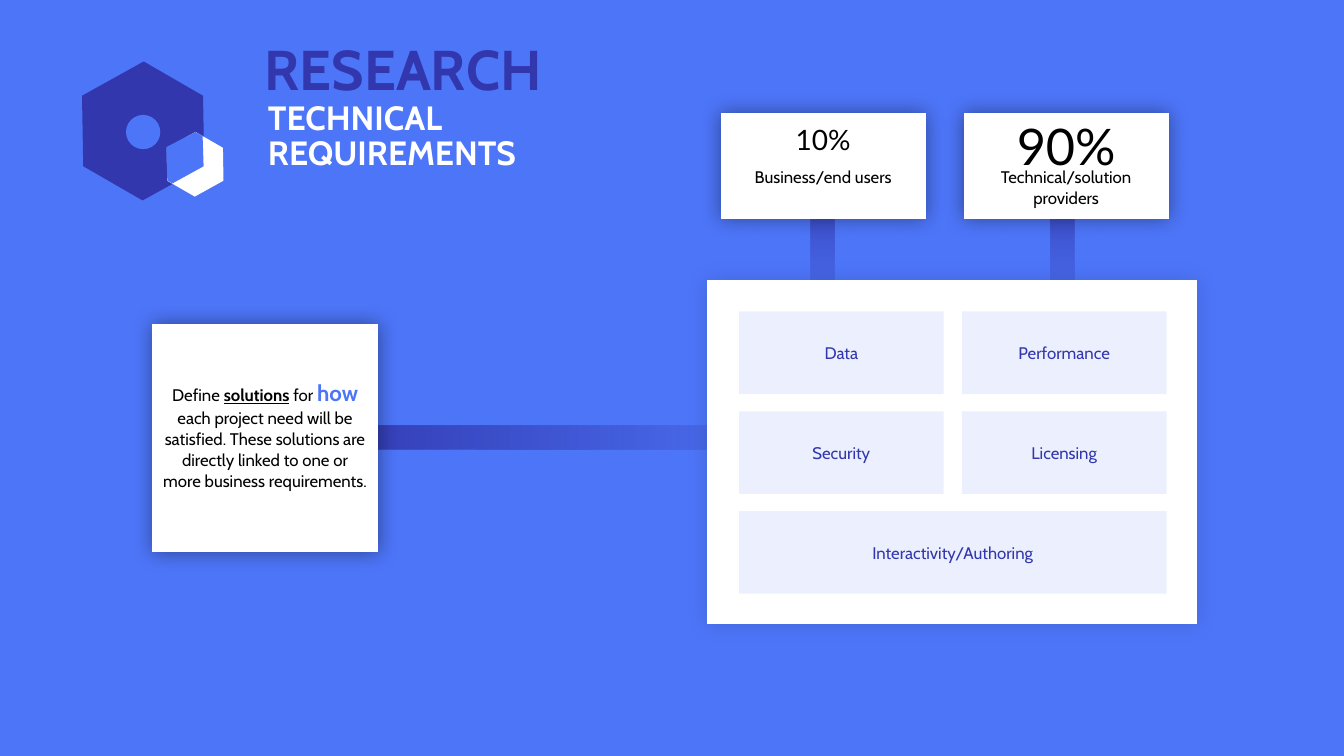
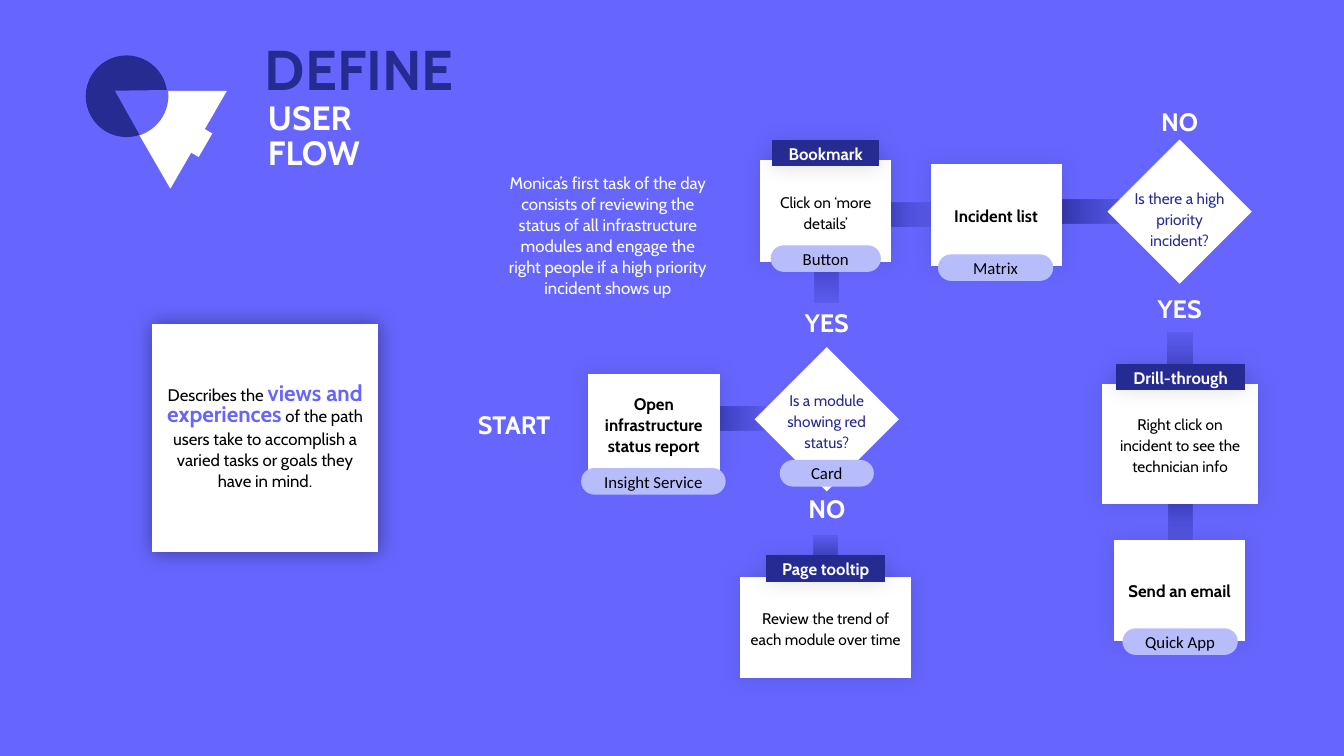
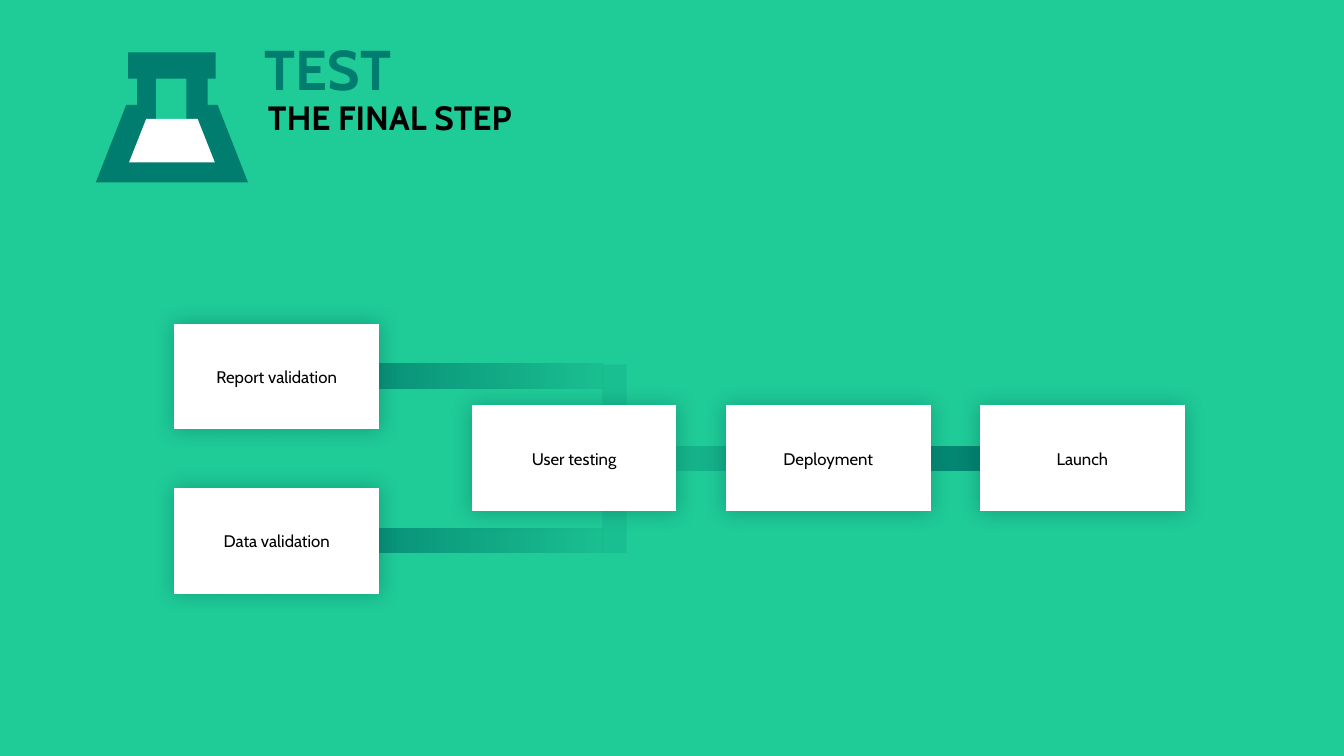
import math

import pptx
import pptx.dml.color
import pptx.enum.shapes
import pptx.enum.text
import pptx.oxml
import pptx.oxml.ns
import pptx.util

Inches = pptx.util.Inches
Pt = pptx.util.Pt
RGBColor = pptx.dml.color.RGBColor
Shape = pptx.enum.shapes.MSO_SHAPE
Anchor = pptx.enum.text.MSO_ANCHOR
Align = pptx.enum.text.PP_ALIGN

WHITE = RGBColor(0xFF, 0xFF, 0xFF)
BLACK = RGBColor(0x00, 0x00, 0x00)
BLUE = RGBColor(0x4D, 0x75, 0xF8)
INDIGO = RGBColor(0x32, 0x37, 0xAE)
VIOLET = RGBColor(0x66, 0x66, 0xFF)
NAVY = RGBColor(0x26, 0x2B, 0x92)
LILAC = RGBColor(0xB7, 0xBD, 0xFB)
GREEN = RGBColor(0x1F, 0xCB, 0x97)
TEAL = RGBColor(0x00, 0x7D, 0x6E)
DARK_TEAL = RGBColor(0x00, 0x5C, 0x51)

CARD = (2.03, 1.05)
BAND_HEIGHT = 0.24
LINE_PITCH = 15


def add_span(para, text, font="Cabin", size=12, color=BLACK, bold=False, underline=False):
    span = para.add_run()
    span.text = text
    span.font.name = font
    span.font.size = Pt(size)
    span.font.color.rgb = color
    span.font.bold = bold
    span.font.underline = underline


def set_alpha(shape, percent):
    """Make the last colour of the shape's fill partly transparent."""
    colors = list(shape.fill._xPr.iter(pptx.oxml.ns.qn("a:srgbClr")))
    alpha = colors[-1].makeelement(pptx.oxml.ns.qn("a:alpha"), {"val": str(percent * 1000)})
    colors[-1].append(alpha)


def add_glow(shape, color, percent):
    """Put a soft, centred shadow around the shape."""
    effects = shape.fill._xPr.find(pptx.oxml.ns.qn("a:effectLst"))
    effects.append(pptx.oxml.parse_xml(
        f'<a:outerShdw {pptx.oxml.ns.nsdecls("a")} blurRad="{Pt(15)}" dist="0" dir="0" '
        f'algn="ctr" rotWithShape="0"><a:srgbClr val="{color}">'
        f'<a:alpha val="{percent * 1000}"/></a:srgbClr></a:outerShdw>'))


class Deck:
    def __init__(self):
        self.deck = pptx.Presentation()
        self.deck.slide_width = Inches(13.33)
        self.deck.slide_height = Inches(7.5)
        self.page = None

    def new_page(self, background):
        self.page = self.deck.slides.add_slide(self.deck.slide_layouts[6])
        self.page.background.fill.solid()
        self.page.background.fill.fore_color.rgb = background

    def title(self, heading, subtitles, heading_color, subtitle_color=WHITE):
        self.text(2.53, 0.03, 3.37, 1.29, heading, size=40, color=heading_color, bold=True)
        for row, subtitle in enumerate(subtitles):
            self.text(2.56, 0.93 + row * 0.35, 3.37, 0.46, subtitle,
                      size=24, color=subtitle_color, bold=True)

    def text(self, left, top, width, height, text, align=Align.LEFT,
             anchor=Anchor.MIDDLE, pitch=None, **style):
        box = self.page.shapes.add_textbox(*map(Inches, (left, top, width, height)))
        self.fill_text(box, [(text, style)], align, anchor, pitch)

    def fill_text(self, box, spans, align=Align.CENTER, anchor=Anchor.MIDDLE, pitch=LINE_PITCH):
        frame = box.text_frame
        frame.word_wrap = True
        frame.vertical_anchor = anchor
        para = frame.paragraphs[0]
        para.alignment = align
        if pitch:
            para.line_spacing = Pt(pitch)
        for text, style in spans:
            add_span(para, text, **style)

    def shape(self, kind, left, top, width, height, fill=WHITE, turn=0):
        shape = self.page.shapes.add_shape(kind, *map(Inches, (left, top, width, height)))
        shape.shadow.inherit = False
        shape.fill.solid()
        shape.fill.fore_color.rgb = fill
        shape.line.fill.background()
        shape.rotation = turn
        return shape

    def card(self, left, top, width, height, spans=(), fill=WHITE,
             glow=BLACK, strength=40, drop=0):
        """A glowing box; drop is the number of lines kept free above the text."""
        card = self.shape(Shape.FLOWCHART_PROCESS, left, top, width, height, fill)
        add_glow(card, glow, strength)
        if spans:
            self.fill_text(card, spans)
            card.text_frame.margin_top = Inches(0.05) + Pt(LINE_PITCH) * drop

    def summary(self, spans):
        self.card(1.51, 3.21, 2.24, 2.27, spans)

    def band(self, left, top, width, color=INDIGO, turn=0, solid_to=20, end_alpha=20):
        """A link that fades out along its length."""
        band = self.shape(Shape.FLOWCHART_PROCESS, left, top, width, BAND_HEIGHT, turn=turn)
        band.fill.gradient()
        band.fill.gradient_angle = 0
        for stop, position in zip(band.fill.gradient_stops, (solid_to / 100, 1)):
            stop.position = position
            stop.color.rgb = color
        set_alpha(band, end_alpha)

    def tile(self, left, top, width, text):
        tile = self.shape(Shape.FLOWCHART_PROCESS, left, top, width, 0.82, BLUE)
        set_alpha(tile, 10)
        self.fill_text(tile, [(text, {"color": INDIGO})])

    def pill(self, left, top, width, text):
        pill = self.shape(Shape.ROUNDED_RECTANGLE, left, top, width, 0.25, LILAC)
        pill.adjustments[0] = 0.5
        pill.line.color.rgb = LILAC
        pill.line.width = Pt(1)
        self.fill_text(pill, [(text, {"font": "Calibri"})], pitch=None)

    def decision(self, center, middle, text, text_top):
        side = 1.43
        self.shape(Shape.DIAMOND, center - side / 2, middle - side / 2, side, side)
        self.text(center - 0.58, text_top, 1.16, 1.01, text, align=Align.CENTER,
                  pitch=LINE_PITCH, size=11, color=NAVY)

    def outline(self, points, fill):
        (left, top), *others = [(Inches(x), Inches(y)) for x, y in points]
        builder = self.page.shapes.build_freeform(left, top)
        builder.add_line_segments(others, close=True)
        shape = builder.convert_to_shape()
        shape.shadow.inherit = False
        shape.fill.solid()
        shape.fill.fore_color.rgb = fill
        shape.line.fill.background()


def build_research(deck):
    deck.new_page(BLUE)
    deck.title("RESEARCH", ["TECHNICAL", "REQUIREMENTS"], INDIGO)

    # Links
    for left in (7.35, 9.73):
        deck.band(left, 1.87, 1.62, turn=90)
    deck.band(1.83, 4.22, 5.19)

    deck.summary([
        ("Define ", {}),
        ("solutions", {"bold": True, "underline": True}),
        (" for ", {}),
        ("how", {"size": 16, "color": BLUE, "bold": True}),
        (" each project need will be satisfied. These solutions are directly linked "
         "to one or more business requirements.", {}),
    ])

    # Requirement panel
    deck.card(7.01, 2.78, 4.86, 3.41, strength=13)
    left, top, step_x, step_y = 7.33, 3.09, 2.21, 0.99
    for index, name in enumerate(("Data", "Performance", "Security", "Licensing")):
        row, column = divmod(index, 2)
        deck.tile(left + column * step_x, top + row * step_y, 2.03, name)
    deck.tile(left, top + 2 * step_y, 4.24, "Interactivity/Authoring")

    # Shares of the audience
    for left, top, height, share, size, label, drop in (
            (7.15, 1.17, 0.44, "10%", 20, "Business/end users", 1),
            (9.56, 1.09, 0.71, "90%", 36, "Technical/solution providers", 2)):
        deck.card(left, 1.12, *CARD, [(label, {})], drop=drop)
        deck.text(left, top, 2.03, height, share, align=Align.CENTER,
                  anchor=Anchor.TOP, font="Lato", size=size)

    # Hexagon icon
    for box, color in (((0.72, 0.7, 1.4, 1.2), INDIGO), ((1.61, 1.35, 0.65, 0.56), WHITE)):
        hexagon = deck.shape(Shape.HEXAGON, *box, color, turn=30)
        hexagon.adjustments[0] = 0.3
    deck.outline([(1.94, 1.31), (2.01, 1.35), (2.02, 1.65),
                  (1.71, 1.82), (1.66, 1.79), (1.65, 1.46)], BLUE)
    deck.shape(Shape.OVAL, 1.25, 1.14, 0.34, 0.34, BLUE)


def build_define(deck):
    deck.new_page(VIOLET)
    deck.title("DEFINE", ["USER", "FLOW"], NAVY)
    deck.summary([
        ("Describes the ", {}),
        ("views and experiences", {"size": 16, "color": VIOLET, "bold": True}),
        (" of the path users take to accomplish a varied tasks or goals "
         "they have in mind.", {}),
    ])

    # Circle and triangle icon
    deck.shape(Shape.ISOSCELES_TRIANGLE, 0.99, 0.66, 1.12, 0.97, turn=300)
    deck.shape(Shape.OVAL, 0.85, 0.55, 0.81, 0.81, NAVY)
    deck.shape(Shape.RECTANGLE, 1.8, 1.26, 0.27, 0.24, turn=300)
    arc = [(1.26 + 0.41 * math.cos(math.radians(angle)),
            0.95 + 0.41 * math.sin(math.radians(angle))) for angle in range(-8, 73, 4)]
    deck.outline([*arc, (1.14, 0.9)], VIOLET)

    # Links
    for left, top, width, turn in (
            (7.98, 5.4, 0.41, 270), (11.25, 4.86, 0.91, 90), (11.25, 3.63, 0.91, 270),
            (10.3, 1.98, 0.91, 0), (8.32, 2.01, 0.91, 0), (6.75, 4.03, 0.86, 0),
            (7.77, 2.45, 0.86, 90)):
        deck.band(left, top, width, turn=turn)

    # Decisions and their answers
    deck.decision(8.2, 4.16, "Is a module showing red status?", 3.66)
    deck.decision(11.7, 2.1, "Is there a high priority incident?", 1.66)
    for left, top, answer in ((7.49, 2.96, "YES"), (7.49, 4.8, "NO"),
                              (10.99, 0.96, "NO"), (10.99, 2.82, "YES")):
        deck.text(left, top, 1.42, 0.48, answer, align=Align.CENTER,
                  size=18, color=WHITE, bold=True)
    deck.text(4.64, 3.57, 1.19, 1.29, "START", size=18, color=WHITE, bold=True)
    deck.text(4.91, 1.2, 2.24, 2.27,
              "Monica’s first task of the day consists of reviewing the status of all "
              "infrastructure modules and engage the right people if a high priority "
              "incident shows up",
              align=Align.CENTER, pitch=LINE_PITCH, color=WHITE)

    # Steps
    step, action = {"bold": True}, {"size": 11}
    for left, top, width, height, text, style in (
            (5.83, 3.71, 1.31, 1.01, "Open infrastructure status report", step),
            (9.23, 1.63, 1.3, 1.01, "Incident list", step),
            (11.05, 5.36, 1.3, 1, "Send an email", step),
            (7.54, 1.59, 1.3, 1.01, "Click on ‘more details’", action),
            (10.93, 3.81, 1.55, 1.19, "Right click on incident to see the technician info",
             action),
            (7.34, 5.72, 1.7, 1.01, "Review the trend of each module over time", action)):
        deck.card(left, top, width, height, [(text, style)], strength=13)

    # Tabs on the steps
    for left, top, width, text in ((7.66, 1.39, 1.06, "Bookmark"),
                                   (11.07, 3.61, 1.28, "Drill-through"),
                                   (7.6, 5.51, 1.18, "Page tooltip")):
        deck.card(left, top, width, 0.26, [(text, {"color": WHITE, "bold": True})],
                  fill=NAVY, strength=13)

    # Tools used
    for left, top, width, text in (
            (9.31, 2.53, 1.13, "Matrix"), (7.74, 4.57, 0.92, "Card"),
            (11.14, 6.24, 1.13, "Quick App"), (7.65, 2.44, 1.08, "Button"),
            (5.77, 4.65, 1.42, "Insight Service")):
        deck.pill(left, top, width, text)


def build_test(deck):
    deck.new_page(GREEN)
    deck.title("TEST", ["THE FINAL STEP"], TEAL, BLACK)

    # Flask icon
    deck.shape(Shape.FLOWCHART_MANUAL_OPERATION, 0.95, 1.04, 1.51, 0.77, TEAL, turn=180)
    deck.shape(Shape.RECTANGLE, 1.36, 0.75, 0.7, 0.49, TEAL)
    deck.shape(Shape.RECTANGLE, 1.27, 0.52, 0.87, 0.26, TEAL)
    deck.shape(Shape.RECTANGLE, 1.55, 0.78, 0.3, 0.43, GREEN)
    deck.shape(Shape.FLOWCHART_MANUAL_OPERATION, 1.28, 1.18, 0.85, 0.43, turn=180)

    # Links
    fade = {"color": TEAL, "solid_to": 0, "end_alpha": 14}
    deck.band(6.21, 4.43, 3.81, turn=180, **fade)
    for top in (3.61, 5.24):
        deck.band(2.7, top, 3.28, **fade)
    joint = deck.shape(Shape.FLOWCHART_PROCESS, 5.16, 4.43, 1.87, BAND_HEIGHT, TEAL, turn=90)
    set_alpha(joint, 14)

    # Steps
    first, step = 4.68, 2.52
    for left, top, text in (
            (1.73, 3.21, "Report validation"), (1.73, 4.84, "Data validation"),
            (first, 4.02, "User testing"), (first + step, 4.02, "Deployment"),
            (first + 2 * step, 4.02, "Launch")):
        deck.card(left, top, *CARD, [(text, {})], glow=DARK_TEAL)


def main():
    deck = Deck()
    build_research(deck)
    build_define(deck)
    build_test(deck)
    deck.deck.save("out.pptx")


if __name__ == "__main__":
    main()
